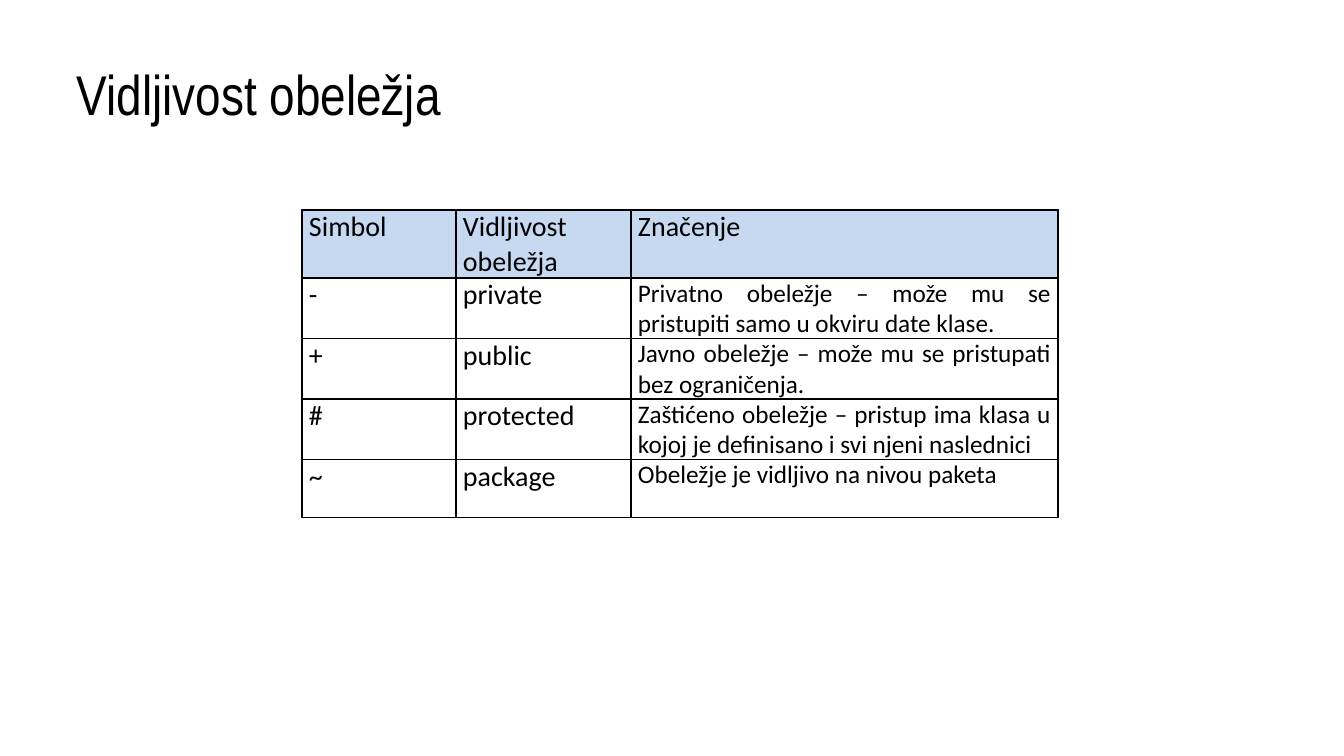
from pptx import Presentation
from pptx.dml.color import RGBColor
from pptx.enum.text import MSO_ANCHOR, PP_ALIGN
from pptx.oxml import parse_xml
from pptx.oxml.ns import nsdecls
from pptx.util import Pt

SCALE = 914400 / 100.8
HEADS = ["Simbol", "Vidljivost obeležja", "Značenje"]
LEVELS = [
    ["-", "private", "Privatno obeležje – može mu se pristupiti samo u okviru date klase."],
    ["+", "public", "Javno obeležje – može mu se pristupati bez ograničenja."],
    ["#", "protected", "Zaštićeno obeležje – pristup ima klasa u kojoj je definisano i svi njeni naslednici"],
    ["~", "package", "Obeležje je vidljivo na nivou paketa"],
]
WIDTHS = [154, 175, 427]
HEAD_H, ROW_H = 68, 58


def px(n):
    return round(n * SCALE)


def color(code):
    return RGBColor.from_string(code)


def write(frame, text, size=20, font="Calibri", align=PP_ALIGN.JUSTIFY, ink="000000"):
    para = frame.paragraphs[0]
    para.alignment = align
    run = para.add_run()
    run.text = text
    run.font.size = Pt(size)
    run.font.name = font
    run.font.bold = False
    run.font.color.rgb = color(ink)


def border(cell, ink="000000"):
    props = cell._tc.get_or_add_tcPr()
    # Edge lines come before the fill
    for spot, side in enumerate(("lnL", "lnR", "lnT", "lnB")):
        props.insert(spot, parse_xml(
            f'<a:{side} {nsdecls("a")} w="{Pt(1)}"><a:solidFill>'
            f'<a:srgbClr val="{ink}"/></a:solidFill></a:{side}>'))


def title(slide, left, top, width, height):
    frame = slide.shapes.add_textbox(px(left), px(top), px(width), px(height)).text_frame
    frame.word_wrap = True
    frame.vertical_anchor = MSO_ANCHOR.MIDDLE
    write(frame, "Vidljivost obeležja", size=40, font="Arial Narrow", align=PP_ALIGN.LEFT)


def grid(slide, left, top):
    rows = [HEADS] + LEVELS
    height = HEAD_H + ROW_H * len(LEVELS)
    table = slide.shapes.add_table(len(rows), len(HEADS), px(left), px(top),
                                   px(sum(WIDTHS)), px(height)).table
    table.first_row = table.horz_banding = False
    for col, width in zip(table.columns, WIDTHS):
        col.width = px(width)
    for r, texts in enumerate(rows):
        table.rows[r].height = px(ROW_H if r else HEAD_H)
        for c, text in enumerate(texts):
            cell = table.cell(r, c)
            cell.margin_left = cell.margin_right = px(7)
            cell.margin_top = cell.margin_bottom = 0
            # Only the header row is tinted
            if r:
                cell.fill.background()
            else:
                cell.fill.solid()
                cell.fill.fore_color.rgb = color("C6D9F1")
            border(cell)
            write(cell.text_frame, text, size=18 if r and c == 2 else 20)


def main():
    deck = Presentation()
    deck.slide_width, deck.slide_height = px(1344), px(756)
    slide = deck.slides.add_slide(deck.slide_layouts[6])
    title(slide, 67, 30, 1210, 126)
    grid(slide, 302, 210)
    deck.save("out.pptx")


if __name__ == "__main__":
    main()
